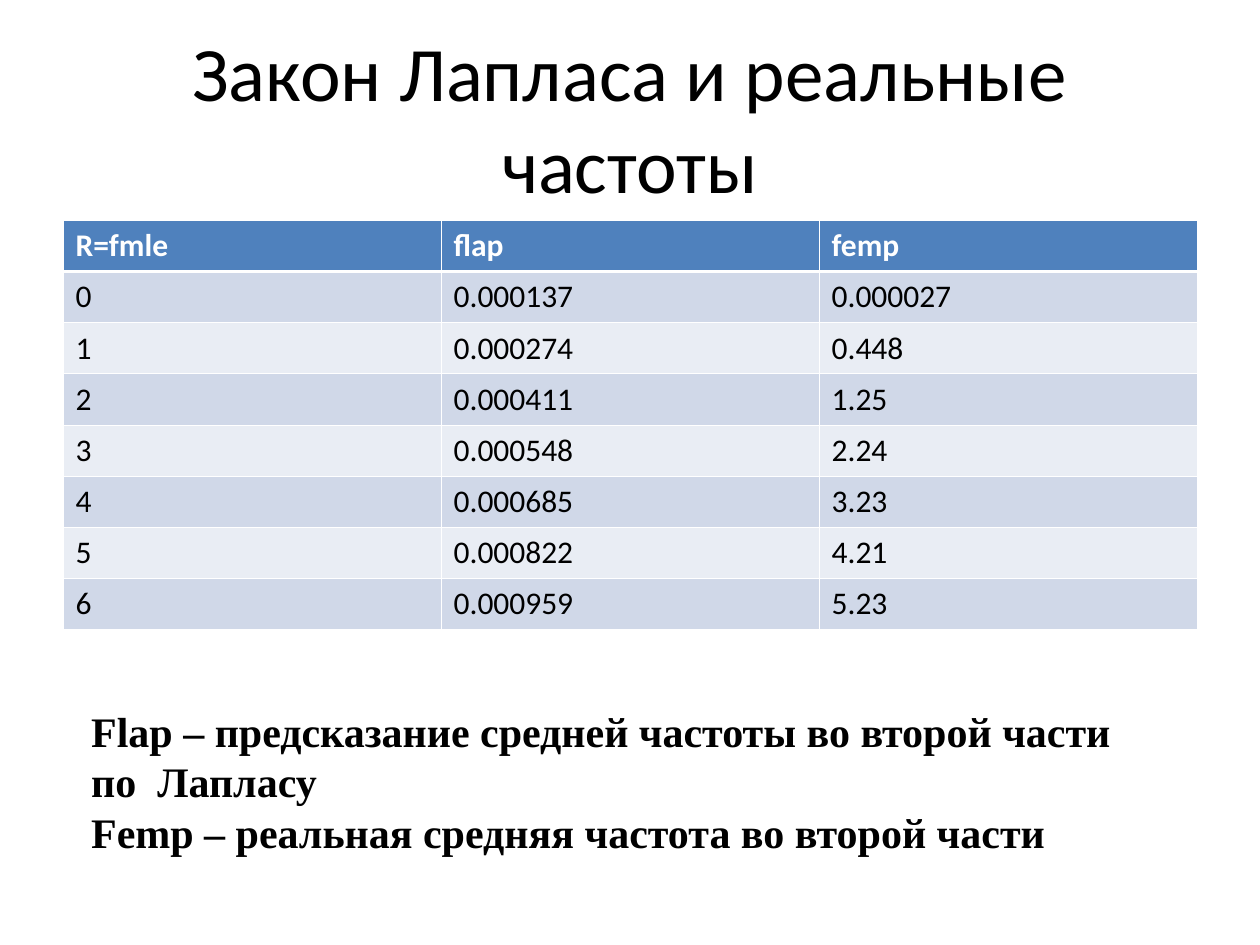
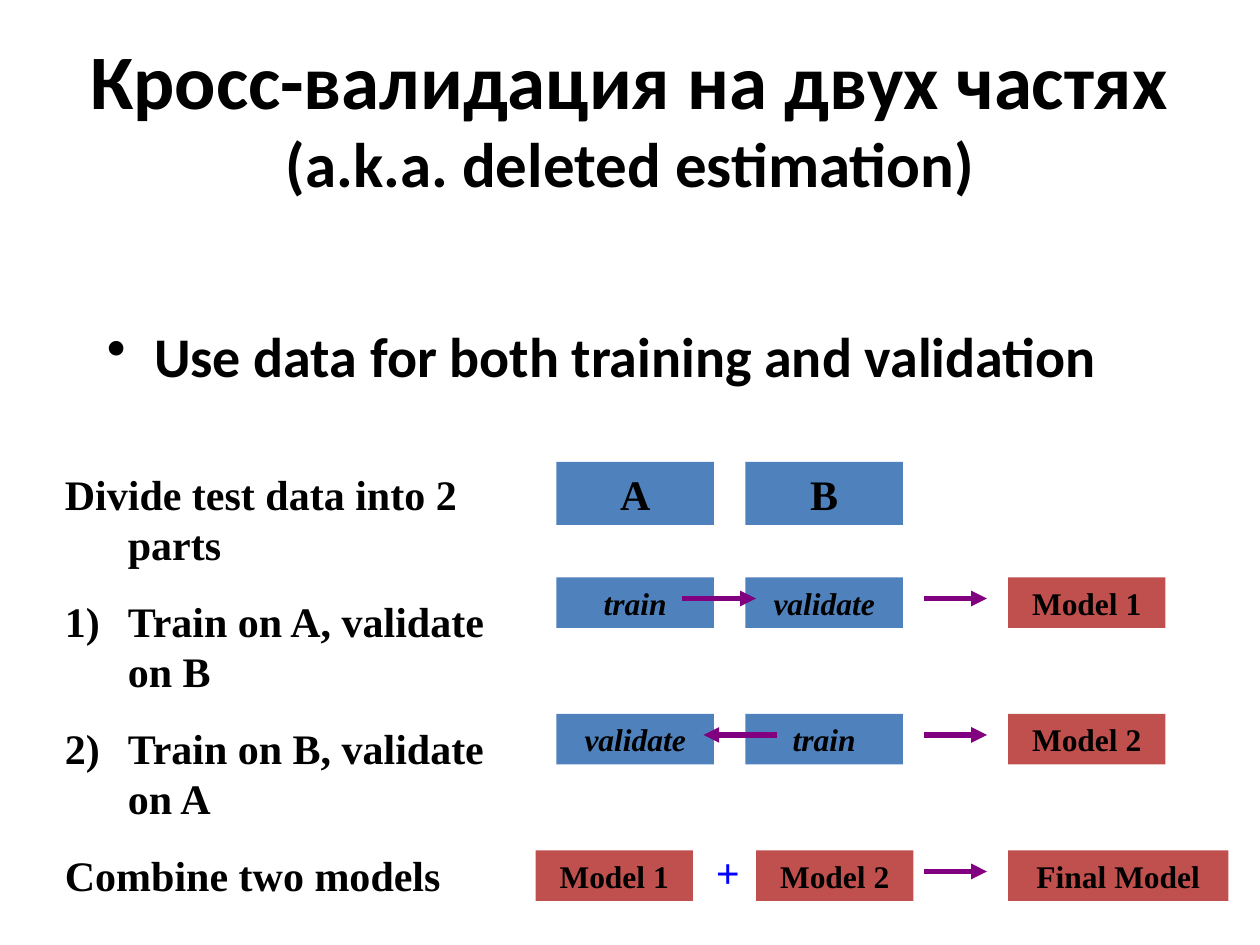
import lxml.etree
import pptx
import pptx.dml.color
import pptx.enum.shapes
import pptx.enum.text
import pptx.oxml.ns
import pptx.util

Pt = pptx.util.Pt
RGBColor = pptx.dml.color.RGBColor
ALIGN = pptx.enum.text.PP_ALIGN
ANCHOR = pptx.enum.text.MSO_ANCHOR
SHAPE = pptx.enum.shapes.MSO_SHAPE
qn = pptx.oxml.ns.qn

BLACK = RGBColor(0x00, 0x00, 0x00)
WHITE = RGBColor(0xFF, 0xFF, 0xFF)
BLUE = RGBColor(0x4F, 0x81, 0xBD)
RED = RGBColor(0xC0, 0x50, 0x4D)
PURPLE = RGBColor(0x80, 0x00, 0x80)
PLUS_BLUE = RGBColor(0x00, 0x00, 0xFF)
BAND_DARK = RGBColor(0xD0, 0xD8, 0xE8)
BAND_LIGHT = RGBColor(0xE9, 0xED, 0xF4)

SANS, SERIF = "Calibri", "Times New Roman"
TITLE = {"name": SANS, "size": Pt(44), "bold": False}
TITLE_BOLD = {**TITLE, "bold": True}
SUBTITLE = {**TITLE_BOLD, "size": Pt(36)}
BULLET = {**TITLE_BOLD, "size": Pt(32)}
CELL = {**TITLE, "size": Pt(18)}
HEADER = {**CELL, "bold": True}
BODY = {"name": SERIF, "size": Pt(24), "bold": True}
LABEL = {**BODY, "size": Pt(18)}
ROLE = {**LABEL, "italic": True}
FRAME = {"word_wrap": True, "auto_size": pptx.enum.text.MSO_AUTO_SIZE.NONE,
         "margin_left": Pt(7.2), "margin_right": Pt(7.2),
         "margin_top": Pt(3.6), "margin_bottom": Pt(3.6)}

TITLE_BOX = (36, 21.6, 648, 90)


# Shared helpers

def apply(target, values):
    for key, value in values.items():
        setattr(target, key, value)


def add_xml(parent, tag, **attributes):
    return lxml.etree.SubElement(parent, qn(tag), **attributes)


def write(paragraph, text, style, color=BLACK):
    run = paragraph.add_run()
    run.text = text
    apply(run.font, style)
    run.font.color.rgb = color


def place(shape, box):
    apply(shape, dict(zip(("left", "top", "width", "height"), map(Pt, box))))


def add_title(slide, lines):
    title = slide.shapes.title
    place(title, TITLE_BOX)
    apply(title.text_frame, {**FRAME, "vertical_anchor": ANCHOR.MIDDLE})
    paragraph = title.text_frame.paragraphs[0]
    paragraph.alignment = ALIGN.CENTER
    for index, (text, style) in enumerate(lines):
        if index:
            paragraph.add_line_break()
        write(paragraph, text, style)


def add_text(slide, box, entries, style, color=BLACK, space=0, hanging=0):
    """Entries are (text, marker) pairs; a marker is a bullet tag with its attributes."""
    frame = slide.shapes.add_textbox(*map(Pt, box)).text_frame
    apply(frame, FRAME)
    for index, (text, marker) in enumerate(entries):
        paragraph = frame.add_paragraph() if index else frame.paragraphs[0]
        if index and space:
            paragraph.space_before = Pt(space)
        if hanging:
            properties = paragraph._p.get_or_add_pPr()
            properties.set("marL", str(Pt(hanging)))
            properties.set("indent", str(-Pt(hanging)))
            if marker:
                tag, attributes = marker
                add_xml(properties, tag, **attributes)
        write(paragraph, text, style, color)


def add_block(slide, box, text, fill, style):
    block = slide.shapes.add_shape(SHAPE.RECTANGLE, *map(Pt, box))
    block.shadow.inherit = False
    block.fill.solid()
    block.fill.fore_color.rgb = fill
    block.line.fill.background()
    apply(block.text_frame, {**FRAME, "vertical_anchor": ANCHOR.TOP})
    paragraph = block.text_frame.paragraphs[0]
    paragraph.alignment = ALIGN.CENTER
    write(paragraph, text, style)


def add_arrow(slide, start, end, y):
    arrow = slide.shapes.add_connector(
        pptx.enum.shapes.MSO_CONNECTOR.STRAIGHT, Pt(start), Pt(y), Pt(end), Pt(y))
    arrow.line.color.rgb = PURPLE
    arrow.line.width = Pt(3)
    add_xml(arrow.line._get_or_add_ln(), "a:tailEnd", type="triangle")
    add_xml(arrow._element.spPr, "a:effectLst")


# Frequency table

def add_borders(cell, widths):
    properties = cell._tc.get_or_add_tcPr()
    for side, width in zip("LRTB", widths):
        line = add_xml(properties, f"a:ln{side}", w=str(Pt(width)))
        add_xml(add_xml(line, "a:solidFill"), "a:srgbClr", val=str(WHITE))


def add_frequencies(slide, box, rows):
    table = slide.shapes.add_table(len(rows), len(rows[0]), *map(Pt, box)).table
    thin, thick = 0.45, 1.47
    for r, values in enumerate(rows):
        table.rows[r].height = Pt(box[3] / len(rows))
        fill = BLUE if r == 0 else BAND_DARK if r % 2 else BAND_LIGHT
        for c, value in enumerate(values):
            cell = table.cell(r, c)
            add_borders(cell, (thin, thin, thick if r == 1 else thin,
                               thick if r == 0 else thin))
            cell.fill.solid()
            cell.fill.fore_color.rgb = fill
            write(cell.text_frame.paragraphs[0], value,
                  HEADER if r == 0 else CELL, BLACK if r else WHITE)


def build_frequency_slide(slide):
    add_title(slide, [("Закон Лапласа и реальные частоты", TITLE)])
    add_frequencies(slide, (36, 126, 648, 233.6), [
        ("R=fmle", "flap", "femp"),
        ("0", "0.000137", "0.000027"),
        ("1", "0.000274", "0.448"),
        ("2", "0.000411", "1.25"),
        ("3", "0.000548", "2.24"),
        ("4", "0.000685", "3.23"),
        ("5", "0.000822", "4.21"),
        ("6", "0.000959", "5.23"),
    ])
    add_text(slide, (45, 399.6, 643, 93.6), [
        ("Flap – предсказание средней частоты во второй части", None),
        ("по  Лапласу", None),
        ("Femp – реальная средняя частота во второй части", None),
    ], BODY)


# Cross-validation diagram

def add_diagram(slide, left, top):
    width, height = 90, 28.8
    parts = (left + 12, left + 120)
    result = left + 270
    step_tops = [top + 66 + 78 * step for step in range(3)]

    # Two halves of the data
    for x, name in zip(parts, "AB"):
        add_block(slide, (x, top, width, 36), name, BLUE, BODY)

    # Training in each direction
    steps = [("train", "validate", 84, 126, "Model 1"),
             ("validate", "train", 138, 96, "Model 2")]
    for y, (first, second, start, end, model) in zip(step_tops, steps):
        for x, role in zip(parts, (first, second)):
            add_block(slide, (x, y, width, height), role, BLUE, ROLE)
        add_arrow(slide, left + start, left + end, y + 12)
        add_block(slide, (result, y, width, height), model, RED, LABEL)

    # Combination of the models
    y = step_tops[-1]
    for x, size, model in ((left, width, "Model 1"), (left + 126, width, "Model 2"),
                           (result, 126, "Final Model")):
        add_block(slide, (x, y, size, height), model, RED, LABEL)
    add_text(slide, (left + 96, y - 6, 36, 36), [("+", None)], BODY, PLUS_BLUE)

    # Arrows to the results
    for y in step_tops:
        add_arrow(slide, left + 222, left + 258, y + 12)


def build_validation_slide(slide):
    add_title(slide, [("Кросс-валидация на двух частях", TITLE_BOLD),
                      ("(a.k.a. deleted estimation)", SUBTITLE)])
    dot = ("a:buChar", {"char": "•"})
    number = ("a:buAutoNum", {"type": "arabicParenR"})
    add_text(slide, (54, 180, 612, 54),
             [("Use data for both training and validation", dot)], BULLET, hanging=27)
    add_text(slide, (30, 264, 264, 254), [
        ("Divide test data into 2 parts", None),
        ("Train on A, validate on B", number),
        ("Train on B, validate on A", number),
        ("Combine two models", None),
    ], BODY, space=15, hanging=36)
    add_diagram(slide, 306, 264)


def main():
    deck = pptx.Presentation()
    apply(deck, {"slide_width": Pt(720), "slide_height": Pt(540)})
    title_only = deck.slide_layouts[5]
    for build in (build_frequency_slide, build_validation_slide):
        build(deck.slides.add_slide(title_only))
    deck.save("out.pptx")


if __name__ == "__main__":
    main()
